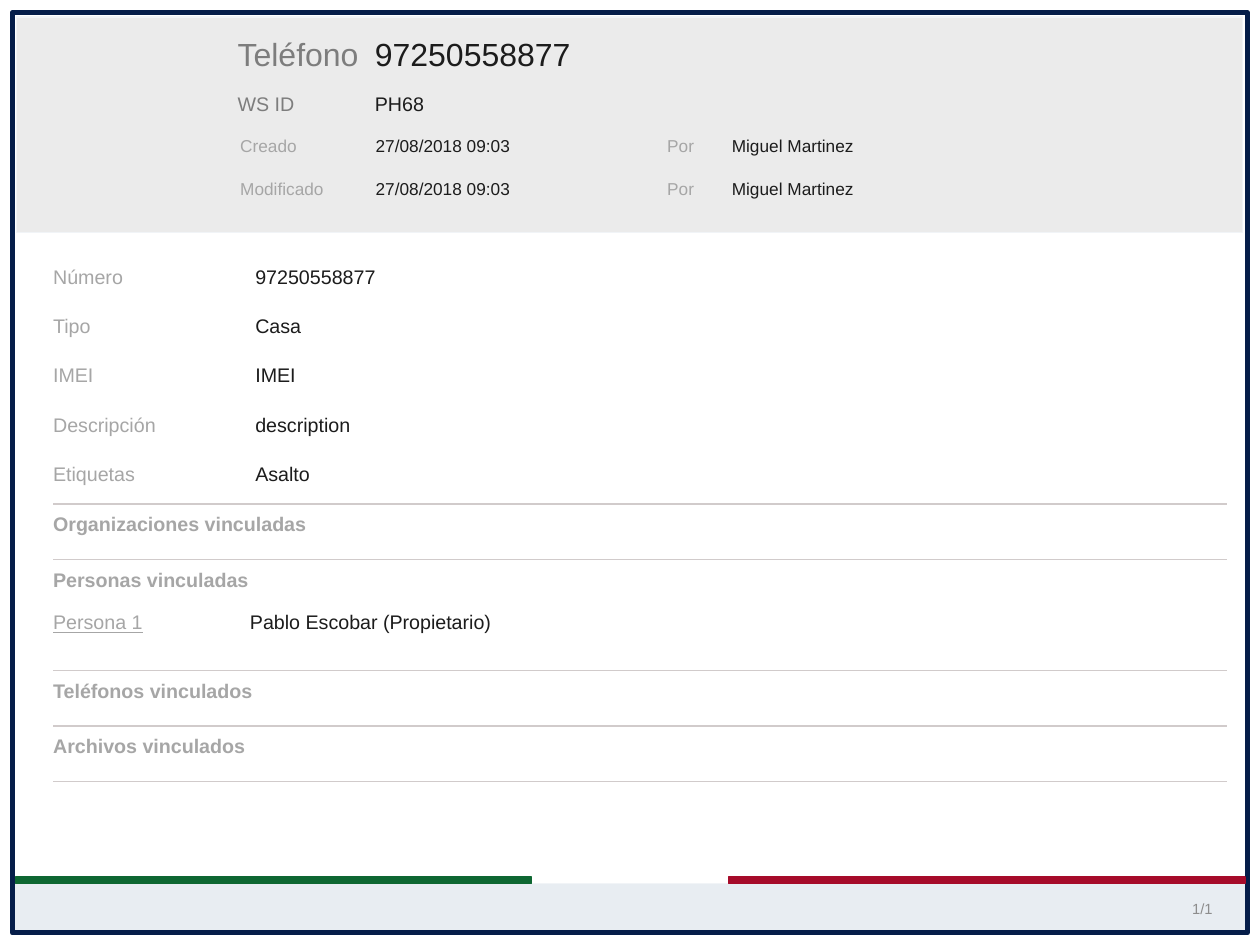
import dataclasses

import lxml.etree
import pptx
import pptx.dml.color
import pptx.enum.shapes
import pptx.enum.text
import pptx.oxml.ns
import pptx.util

ALIGN = pptx.enum.text.PP_ALIGN
ANCHOR = pptx.enum.text.MSO_ANCHOR


@dataclasses.dataclass(frozen=True)
class Theme:
    """Colours, type sizes and line widths of the record sheet."""
    font: str = "Arial"
    paper: str = "FFFFFF"
    navy: str = "051D49"
    header: str = "EBEBEB"
    footer: str = "E8EDF2"
    edge: str = "F1F4F7"
    green: str = "0E6732"
    red: str = "A60B2A"
    rule: str = "D1CBCB"
    ink: str = "1C1C1C"
    heading: str = "7D7D7D"
    label: str = "A6A6A6"
    page: str = "8D8D8D"
    title_size: int = 26
    body_size: int = 16
    stamp_size: int = 14
    page_size: int = 12
    thin: int = 1
    thick: int = 4


class Sheet:
    """One slide on a grid of 64 columns by 48 rows."""
    COLUMNS, ROWS = 64, 48

    def __init__(self, deck, theme):
        """Add a title-only slide and paint its background."""
        self.theme = theme
        self.column = deck.slide_width / self.COLUMNS
        self.row = deck.slide_height / self.ROWS
        self.slide = deck.slides.add_slide(deck.slide_layouts[5])
        background = self.slide.background.fill
        background.solid()
        background.fore_color.rgb = self.colour(theme.paper)

    def colour(self, code):
        """Turn a hex code into a colour."""
        return pptx.dml.color.RGBColor.from_string(code)

    def place(self, left, top, width, height):
        """Convert a grid box to slide lengths."""
        return (round(left * self.column), round(top * self.row),
                round(width * self.column), round(height * self.row))

    def box(self, area, fill, edge, weight):
        """Draw a rectangle; without a fill it is a frame."""
        panel = self.slide.shapes.add_shape(
            pptx.enum.shapes.MSO_SHAPE.RECTANGLE, *self.place(*area))
        panel.shadow.inherit = False
        if fill:
            panel.fill.solid()
            panel.fill.fore_color.rgb = self.colour(fill)
        else:
            panel.fill.background()
        panel.line.color.rgb = self.colour(edge)
        panel.line.width = pptx.util.Pt(weight)

    def rule(self, left, top, width):
        """Draw a thin horizontal divider."""
        x, y, length, _ = self.place(left, top, width, 0)
        divider = self.slide.shapes.add_connector(
            pptx.enum.shapes.MSO_CONNECTOR.STRAIGHT, x, y, x + length, y)
        divider.line.color.rgb = self.colour(self.theme.rule)
        divider.line.width = pptx.util.Pt(self.theme.thin)
        lxml.etree.SubElement(divider._element.spPr, pptx.oxml.ns.qn("a:effectLst"))

    def set_words(self, holder, words, size, colour, inset=0, bold=False,
                  underline=False, align=ALIGN.LEFT, anchor=ANCHOR.TOP):
        """Fill a text holder and format its run."""
        frame = holder.text_frame
        frame.text = words
        frame.word_wrap = True
        frame.auto_size = pptx.enum.text.MSO_AUTO_SIZE.NONE
        frame.vertical_anchor = anchor
        frame.margin_left = round(inset * self.column)
        frame.margin_top = frame.margin_right = frame.margin_bottom = 0
        paragraph = frame.paragraphs[0]
        paragraph.alignment = align
        font = paragraph.runs[0].font
        font.name, font.size = self.theme.font, pptx.util.Pt(size)
        font.bold, font.underline = bold, underline
        font.color.rgb = self.colour(colour)

    def text(self, area, words, size, colour, **style):
        """Add a text box."""
        holder = self.slide.shapes.add_textbox(*self.place(*area))
        self.set_words(holder, words, size, colour, **style)

    def title(self, area, words, size, colour, **style):
        """Move the title placeholder in front and format it."""
        holder = self.slide.shapes.title
        holder.left, holder.top, holder.width, holder.height = self.place(*area)
        self.set_words(holder, words, size, colour, **style)
        self.slide.shapes._spTree.append(holder._element)


LINE = 1.9
INDENT = 0.27
LEFT, RULE_WIDTH = 2.7, 59.63
VALUE_LEFT = 12.7


def draw_page(sheet, theme):
    """Draw the frame, footer, flag stripes and page number."""
    sheet.box((0.63, 44.87, 62.65, 2.52), theme.footer, theme.edge, theme.thin)
    sheet.box((0.63, 0.63, 62.73, 46.76), None, theme.navy, theme.thick)
    sheet.text((59.63, 45.14, 2.88, 1.98), "1/1", theme.page_size, theme.page,
               align=ALIGN.CENTER, anchor=ANCHOR.MIDDLE)
    for left, stripe in ((37, theme.red), (0.77, theme.green)):
        sheet.box((left, 44.55, 26.24, 0.32), stripe, stripe, theme.thin)


def draw_header(sheet, theme):
    """Draw the header band with the phone, its ID and its time stamps."""
    sheet.box((0.86, 0.86, 62.24, 10.94), theme.header, theme.edge, theme.thin)
    label_left, value_left = 11.8, 18.77
    sheet.title((label_left, 1.76, 6.93, 2.93), "Teléfono",
                theme.title_size, theme.heading, inset=INDENT)
    sheet.text((value_left, 1.76, 42.4, 2.93), "97250558877",
               theme.title_size, theme.ink, inset=INDENT)
    sheet.text((label_left, 4.68, 4.95, LINE), "WS ID",
               theme.body_size, theme.heading, inset=INDENT)
    sheet.text((value_left, 4.68, 13.95, LINE), "PH68",
               theme.body_size, theme.ink, inset=INDENT)

    stamp_columns = ((12.2, 6.88, theme.label), (19.08, 12.5, theme.ink),
                     (33.89, 3.33, theme.label), (37.17, 25, theme.ink))
    for top, event in ((6.89, "Creado"), (9.05, "Modificado")):
        entries = (event, "27/08/2018 09:03", "Por", "Miguel Martinez")
        for (left, width, colour), entry in zip(stamp_columns, entries):
            sheet.text((left, top, width, LINE), entry, theme.stamp_size, colour)


def draw_fields(sheet, theme):
    """List the fields of the phone, one every two and a half rows."""
    fields = (("Número", "97250558877"), ("Tipo", "Casa"), ("IMEI", "IMEI"),
              ("Descripción", "description"), ("Etiquetas", "Asalto"))
    for index, (label, value) in enumerate(fields):
        top = 13.45 + 2.5 * index
        sheet.text((LEFT, top, 10, LINE), label, theme.body_size, theme.label)
        sheet.text((VALUE_LEFT, top, 49, LINE), value,
                   theme.body_size, theme.ink, inset=INDENT)


def draw_links(sheet, theme):
    """Draw the linked-record sections; the people take two steps."""
    first, step = 25.6, 2.82
    sections = ((0, "Organizaciones vinculadas"), (1, "Personas vinculadas"),
                (3, "Teléfonos vinculados"), (4, "Archivos vinculados"))
    for slot, heading in sections:
        top = first + step * slot
        sheet.rule(LEFT, top, RULE_WIDTH)
        sheet.text((LEFT, top + 0.4, 37.6, LINE), heading,
                   theme.body_size, theme.label, bold=True)
    sheet.rule(LEFT, first + step * 5, RULE_WIDTH)
    sheet.text((LEFT, 31, 10, LINE), "Persona 1",
               theme.body_size, theme.label, underline=True)
    sheet.text((VALUE_LEFT, 31, 37.6, LINE), "Pablo Escobar (Propietario)",
               theme.body_size, theme.ink)


def main():
    """Build the phone record and save it."""
    deck = pptx.Presentation()
    deck.slide_width = pptx.util.Inches(14.22)
    deck.slide_height = pptx.util.Inches(10.67)
    theme = Theme()
    sheet = Sheet(deck, theme)
    for draw in (draw_page, draw_header, draw_fields, draw_links):
        draw(sheet, theme)
    deck.save("out.pptx")


main()
